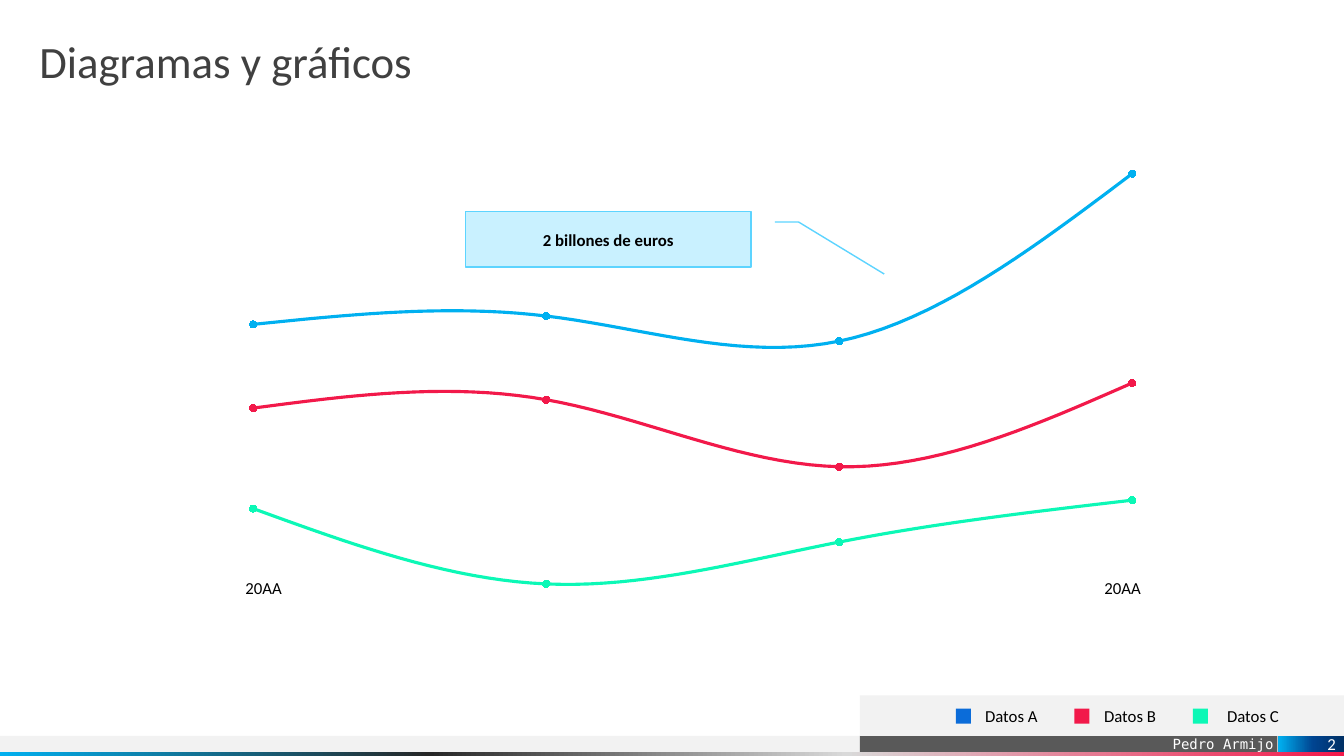
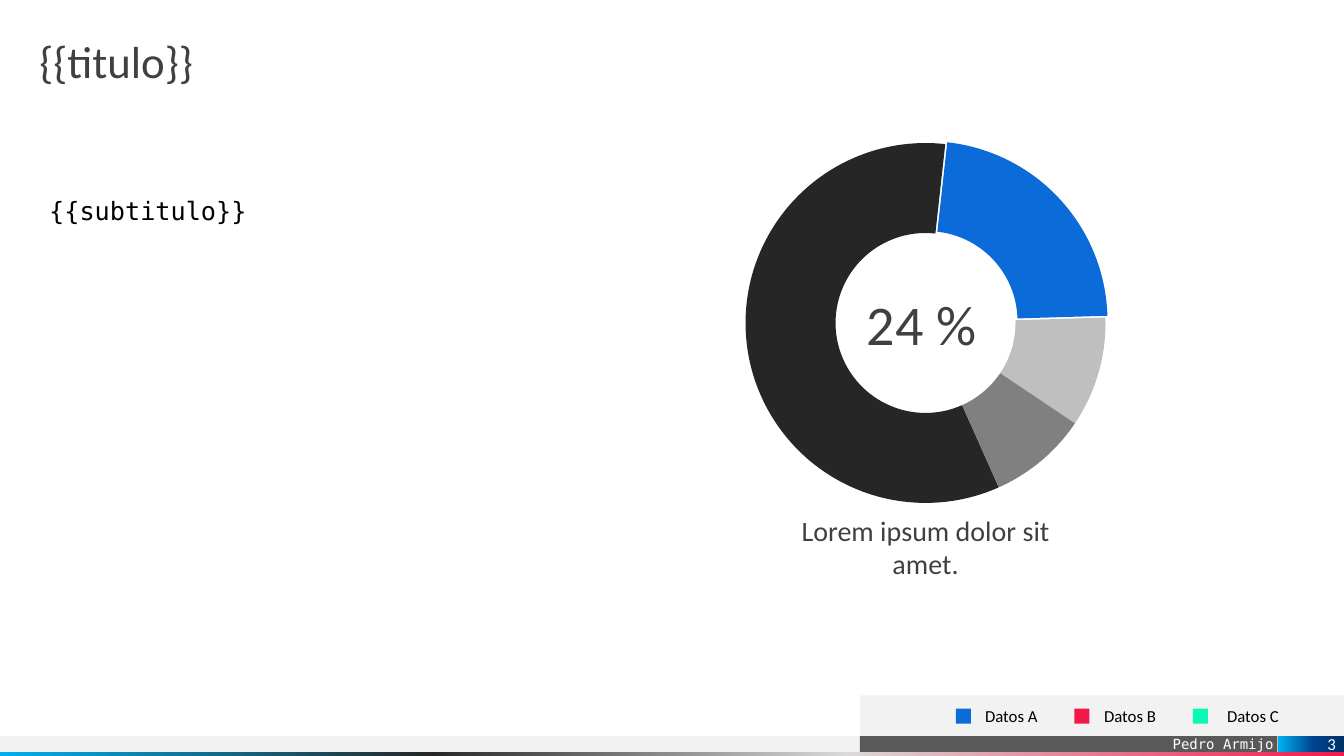
from lxml import etree
from pptx import Presentation
from pptx.chart.data import CategoryChartData
from pptx.dml.color import RGBColor
from pptx.enum.chart import XL_CHART_TYPE, XL_MARKER_STYLE
from pptx.enum.shapes import MSO_SHAPE
from pptx.enum.text import MSO_ANCHOR, PP_ALIGN
from pptx.oxml.ns import qn
from pptx.util import Inches, Pt

RECTANGLE = MSO_SHAPE.RECTANGLE
CALLOUT = MSO_SHAPE.LINE_CALLOUT_2
LINE_CHART = XL_CHART_TYPE.LINE_MARKERS_STACKED
DOUGHNUT = XL_CHART_TYPE.DOUGHNUT
CIRCLE = XL_MARKER_STYLE.CIRCLE
LEFT, CENTER, RIGHT = PP_ALIGN.LEFT, PP_ALIGN.CENTER, PP_ALIGN.RIGHT
TOP, MIDDLE, BOTTOM = MSO_ANCHOR.TOP, MSO_ANCHOR.MIDDLE, MSO_ANCHOR.BOTTOM

SANS, MONO = "Calibri", "DejaVu Sans Mono"
BLACK, WHITE, INK = "000000", "FFFFFF", "404040"
PALE, GRAY = "F2F2F2", "595959"
BLUE, RED, GREEN, SKY = "0B6CD9", "F2194A", "0CF8B6", "00B0F0"
STRIPE = [(0, RED), (37, "D9D9D9"), (68, "262626"), (100, SKY)]
PAGE_BADGE = [(0, "003065"), (47, "004490"), (100, SKY)]
NO_INSETS = (0, 0, 0, 0)
LEGEND = [("Datos A", BLUE, 9.77), ("Datos B", RED, 10.95), ("Datos C", GREEN, 12.17)]


def add_panel(page, place, fill, kind=RECTANGLE):
    panel = page.shapes.add_shape(kind, *map(Inches, place))
    panel.shadow.inherit = False
    panel.line.fill.background()
    if isinstance(fill, str):
        panel.fill.solid()
        panel.fill.fore_color.rgb = RGBColor.from_string(fill)
    else:
        panel.fill.gradient()
        panel.fill.gradient_angle = 180
        stops = panel.element.xpath(".//a:gsLst")[0]
        for stop in list(stops):
            stops.remove(stop)
        for position, color in fill:
            stop = etree.SubElement(stops, qn("a:gs"), pos=str(position * 1000))
            etree.SubElement(stop, qn("a:srgbClr"), val=color)
    return panel


def write(box, text, size, color=BLACK, font=SANS, align=LEFT, anchor=TOP,
          insets=NO_INSETS, bold=False):
    frame = box.text_frame
    frame.word_wrap = True
    frame.vertical_anchor = anchor
    (frame.margin_left, frame.margin_top,
     frame.margin_right, frame.margin_bottom) = map(Inches, insets)
    frame.text = text
    para = frame.paragraphs[0]
    para.alignment = align
    span = para.runs[0]
    span.font.name = font
    span.font.size = Pt(size)
    span.font.bold = bold
    span.font.color.rgb = RGBColor.from_string(color)
    return para


deck = Presentation()
deck.slide_width, deck.slide_height = Inches(13.33), Inches(7.5)

pages = []
for number, title in [(2, "Diagramas y gráficos"), (3, "{{titulo}}")]:
    page = deck.slides.add_slide(deck.slide_layouts[6])
    pages.append(page)
    add_panel(page, (-0.01, 7.3, 10.29, 0.16), PALE)
    author = add_panel(page, (8.53, 7.3, 4.14, 0.16), GRAY)
    write(author, "Pedro Armijo", 10, WHITE, MONO, RIGHT, BOTTOM, (0.1, 0, 0.04, 0))
    add_panel(page, (-0.01, 7.46, 13.34, 0.04), STRIPE)
    heading = page.shapes.add_textbox(*map(Inches, (0.39, 0.39, 12.55, 0.59)))
    write(heading, title, 32, INK).line_spacing = 0.9
    add_panel(page, (8.53, 6.9, 4.8, 0.4), PALE)
    for index, (name, color, left) in enumerate(LEGEND):
        add_panel(page, (9.48 + 1.175 * index, 7.03, 0.15, 0.15), color)
        label = page.shapes.add_textbox(*map(Inches, (left, 7, 0.74, 0.21)))
        write(label, name, 12)
    badge = add_panel(page, (12.68, 7.3, 0.65, 0.16), PAGE_BADGE)
    write(badge, str(number), 12, WHITE, align=RIGHT, anchor=MIDDLE, insets=(0, 0, 0.08, 0))

line_page, ring_page = pages

line_data = CategoryChartData()
line_data.categories = ["1", "2", "3", "4"]
line_data.add_series("Series 1", (86, 50, 70, 90))
line_data.add_series("Series 2", (48, 88, 36, 56))
line_data.add_series("Series 3", (40, 40, 60, 100))
line_chart = line_page.shapes.add_chart(
    LINE_CHART, *map(Inches, (0.41, 0.68, 12.46, 6.49)), line_data).chart

ring_data = CategoryChartData()
ring_data.categories = ["1", "2", "3", "4"]
ring_data.add_series("Series 1", (59, 23, 10, 9))
ring_chart = ring_page.shapes.add_chart(
    DOUGHNUT, *map(Inches, (7.23, 1.11, 3.9, 4.19)), ring_data).chart

for chart in (line_chart, ring_chart):
    chart.has_title = False
    chart.has_legend = False
    chart.font.name = MONO
    chart.font.size = Pt(10)
    chart.font.color.rgb = RGBColor.from_string(BLACK)

line_chart.plots[0].vary_by_categories = False
line_chart.value_axis.minimum_scale = 0
line_chart.value_axis.maximum_scale = 280
for axis in (line_chart.category_axis, line_chart.value_axis):
    axis.has_major_gridlines = False
    axis.visible = False
for series, color in zip(line_chart.plots[0].series, (GREEN, RED, SKY)):
    series.smooth = True
    series.format.line.width = Pt(2.25)
    series.format.line.color.rgb = RGBColor.from_string(color)
    series.marker.style = CIRCLE
    series.marker.size = 5
    series.marker.format.fill.solid()
    series.marker.format.fill.fore_color.rgb = RGBColor.from_string(color)
    series.marker.format.line.color.rgb = RGBColor.from_string(color)

plot_area = line_chart.element.xpath(".//c:plotArea")[0]
for layout in plot_area.findall(qn("c:layout")):
    plot_area.remove(layout)
layout = etree.Element(qn("c:layout"))
plot_area.insert(0, layout)
manual = etree.SubElement(layout, qn("c:manualLayout"))
for tag, value in [("layoutTarget", "inner"), ("xMode", "edge"), ("yMode", "edge"),
                   ("x", "0.052"), ("y", "0.052"), ("w", "0.933"), ("h", "0.896")]:
    etree.SubElement(manual, qn("c:" + tag), val=value)

callout = add_panel(line_page, (4.62, 2.1, 2.83, 0.55), "C9F1FF", CALLOUT)
callout.line.color.rgb = RGBColor.from_string("5DD4FF")
callout.line.width = Pt(1)
callout.element.spPr.xfrm.set("flipH", "1")
write(callout, "2 billones de euros", 12, align=CENTER, anchor=MIDDLE, bold=True)
for left in (0.83, 9.35):
    year = line_page.shapes.add_textbox(*map(Inches, (left, 5.46, 3.57, 0.75)))
    write(year, "20AA", 12, align=CENTER, anchor=MIDDLE)

ring_chart.plots[0].vary_by_categories = False
for index, color in enumerate(("262626", BLUE, "BFBFBF", "808080")):
    point = ring_chart.plots[0].series[0].points[index]
    point.format.fill.solid()
    point.format.fill.fore_color.rgb = RGBColor.from_string(color)
    point.format.line.fill.background()
ring_chart.element.xpath(".//c:holeSize")[0].set("val", "60")
ring_chart.element.xpath(".//c:firstSliceAng")[0].set("val", "156")
explosion = etree.Element(qn("c:explosion"), val="3")
ring_chart.element.xpath(".//c:dPt[c:idx/@val='1']/c:spPr")[0].addprevious(explosion)

for text, place, size, color, font, align, insets in [
    ("24 %", (7.87, 2.82, 2.54, 0.77), 40, INK, SANS, CENTER, (0.1, 0.05, 0.1, 0.05)),
    ("Lorem ipsum dolor sit amet.", (7.63, 5.09, 3.1, 0.68), 20, INK, SANS, CENTER, NO_INSETS),
    ("{{subtitulo}}", (0.39, 1.89, 4.74, 0.4), 18, BLACK, MONO, LEFT, (0.1, 0.05, 0.1, 0.05)),
]:
    box = ring_page.shapes.add_textbox(*map(Inches, place))
    write(box, text, size, color, font, align, insets=insets)

deck.save("out.pptx")
